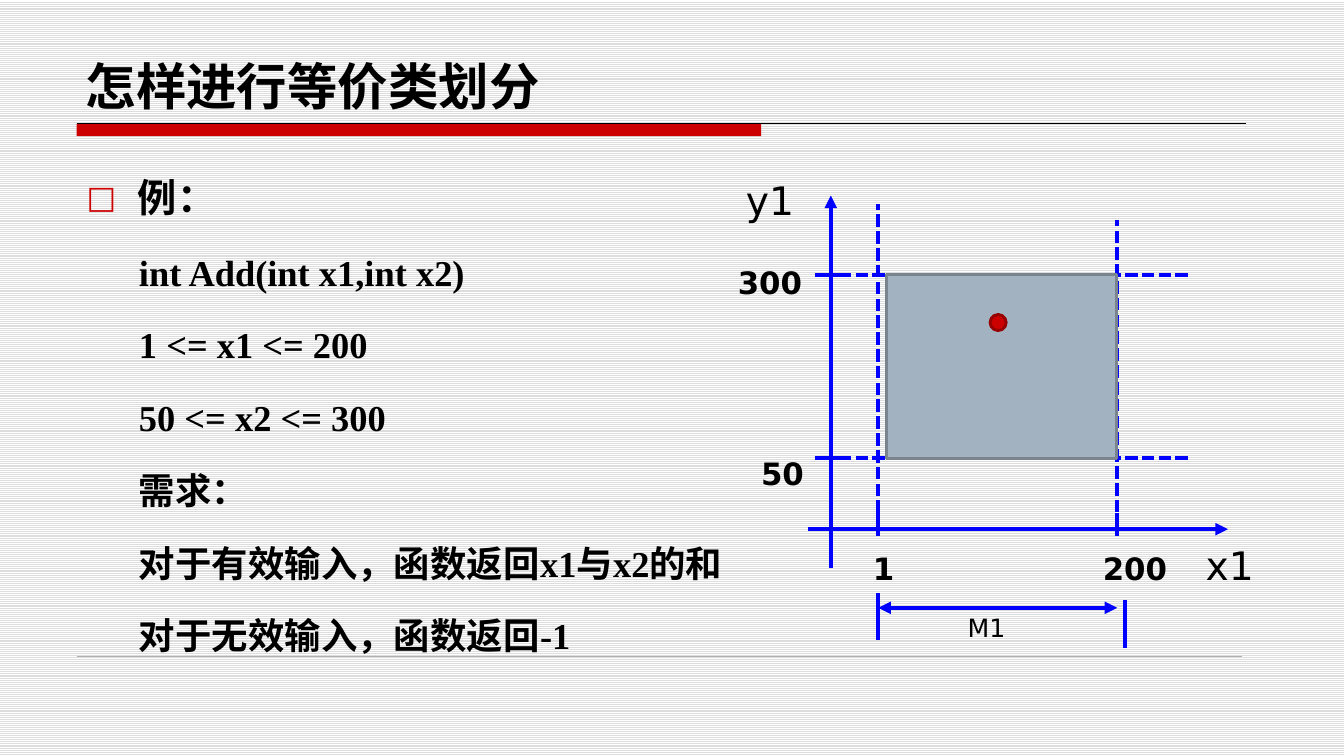
from lxml.etree import SubElement
from pptx import Presentation
from pptx.dml.color import RGBColor
from pptx.enum.dml import MSO_LINE, MSO_PATTERN
from pptx.enum.shapes import MSO_CONNECTOR, MSO_SHAPE
from pptx.enum.text import MSO_ANCHOR, PP_ALIGN
from pptx.oxml.ns import qn
from pptx.util import Inches, Pt

BLACK = RGBColor(0x00, 0x00, 0x00)
WHITE = RGBColor(0xFF, 0xFF, 0xFF)
STRIPE = RGBColor(0xDD, 0xDD, 0xDD)
RULE_GREY = RGBColor(0xB0, 0xB0, 0xB0)
RED = RGBColor(0xCC, 0x00, 0x00)
DARK_RED = RGBColor(0x97, 0x00, 0x00)
BLUE = RGBColor(0x00, 0x00, 0xFF)
AREA_FILL = RGBColor(0xA3, 0xB2, 0xC1)
AREA_EDGE = RGBColor(0x79, 0x84, 0x8F)

SERIF = "Times New Roman"
SANS = "DejaVu Sans"


class SlideBuilder:
    def __init__(self, deck):
        self.slide = deck.slides.add_slide(deck.slide_layouts[5])
        self.shapes = self.slide.shapes
        background = self.slide.background.fill
        background.patterned()
        background.pattern = MSO_PATTERN.LIGHT_HORIZONTAL
        background.fore_color.rgb = STRIPE
        background.back_color.rgb = WHITE

    def run(self, paragraph, text, size, font=SERIF, bold=True):
        run = paragraph.add_run()
        run.text = text
        run.font.size = Pt(size)
        run.font.name = font
        run.font.bold = bold
        run.font.color.rgb = BLACK

    def title(self, text, left, top, width, height):
        title = self.shapes.title
        title.left, title.top = Inches(left), Inches(top)
        title.width, title.height = Inches(width), Inches(height)
        title.text_frame.vertical_anchor = MSO_ANCHOR.BOTTOM
        paragraph = title.text_frame.paragraphs[0]
        paragraph.alignment = PP_ALIGN.LEFT
        self.run(paragraph, text, 36)

    def text_frame(self, left, top, width, height):
        box = self.shapes.add_textbox(
            Inches(left), Inches(top), Inches(width), Inches(height))
        box.text_frame.word_wrap = True
        return box.text_frame

    def label(self, text, left, top, width, height, size, bold=False):
        frame = self.text_frame(left, top, width, height)
        self.run(frame.paragraphs[0], text, size, SANS, bold)

    def example(self, heading, lines, left, top, width, height):
        """Add a bulleted heading with indented lines below it."""
        frame = self.text_frame(left, top, width, height)
        first = frame.paragraphs[0]
        first.line_spacing = 1.5
        properties = first._p.get_or_add_pPr()
        properties.set("marL", str(Inches(0.51)))
        properties.set("indent", str(Inches(-0.51)))
        color = SubElement(properties, qn("a:buClr"))
        SubElement(color, qn("a:srgbClr")).set("val", str(RED))
        SubElement(properties, qn("a:buSzPct")).set("val", "80000")
        SubElement(properties, qn("a:buFont")).set("typeface", SANS)
        SubElement(properties, qn("a:buChar")).set("char", "□")
        self.run(first, heading, 28)
        for line in lines:
            paragraph = frame.add_paragraph()
            paragraph.line_spacing = 1.5
            paragraph.space_before = Pt(5.2)
            paragraph._p.get_or_add_pPr().set("marL", str(Inches(0.52)))
            self.run(paragraph, line, 26)

    def line(self, x1, y1, x2, y2, color=BLUE, width=3, dashed=False, arrows=()):
        """Draw a line; arrows may hold "headEnd" and "tailEnd", in that order."""
        connector = self.shapes.add_connector(
            MSO_CONNECTOR.STRAIGHT, Inches(x1), Inches(y1), Inches(x2), Inches(y2))
        connector.line.color.rgb = color
        connector.line.width = Pt(width)
        if dashed:
            connector.line.dash_style = MSO_LINE.SQUARE_DOT
        for end in arrows:
            SubElement(connector.line._get_or_add_ln(), qn(f"a:{end}")).set("type", "triangle")
        SubElement(connector._element.spPr, qn("a:effectLst"))

    def shape(self, kind, left, top, width, height, fill, edge=None):
        shape = self.shapes.add_shape(
            kind, Inches(left), Inches(top), Inches(width), Inches(height))
        shape.shadow.inherit = False
        shape.fill.solid()
        shape.fill.fore_color.rgb = fill
        if edge is None:
            shape.line.fill.background()
        else:
            shape.line.color.rgb = edge
            shape.line.width = Pt(2)


def main():
    deck = Presentation()
    deck.slide_width, deck.slide_height = Inches(13.33), Inches(7.5)
    page = SlideBuilder(deck)

    page.shape(MSO_SHAPE.RECTANGLE, 0.76, 1.23, 6.79, 0.12, RED)
    page.line(0.76, 1.23, 12.36, 1.23, BLACK, 0.75)
    page.line(0.76, 6.51, 12.32, 6.51, RULE_GREY, 0.25)
    page.title("怎样进行等价类划分", 0.75, 0.29, 11.67, 0.91)
    page.example("例：", [
        "int Add(int x1,int x2)",
        "1 <= x1 <= 200",
        "50 <= x2 <= 300",
        "需求：",
        "对于有效输入，函数返回x1与x2的和",
        "对于无效输入，函数返回-1",
    ], 0.76, 1.44, 8.82, 4.67)

    x_min, x_max = 8.71, 11.08
    y_max, y_min = 2.73, 4.54
    x_axis, y_axis = 5.25, 8.24

    page.line(8.01, x_axis, 12.18, x_axis, arrows=["tailEnd"])
    page.line(y_axis, 5.64, y_axis, 1.94, arrows=["tailEnd"])
    for x, dash_start, dash_end in [(x_min, 5.09, 2.02), (x_max, x_axis, 2.18)]:
        page.line(x, 5.09, x, 5.32)
        page.line(x, dash_start, x, dash_end, dashed=True)
    for y in (y_min, y_max):
        page.line(8.08, y, 8.32, y)
        page.line(8.32, y, 11.79, y, dashed=True)

    for text, left, top, width in [
        ("1", 8.56, 5.4, 0.63),
        ("200", 10.84, 5.4, 0.94),
        ("50", 7.45, 4.46, 0.87),
        ("300", 7.22, 2.57, 0.94),
    ]:
        page.label(text, left, top, width, 0.47, 22, bold=True)
    page.label("x1", 11.86, 5.32, 0.94, 0.57, 28)
    page.label("y1", 7.3, 1.7, 0.94, 0.57, 28)

    page.line(x_min, 5.88, x_min, 6.35)
    page.line(11.16, 5.95, 11.16, 6.43)
    page.line(x_min, 6.03, x_max, 6.03, arrows=["headEnd", "tailEnd"])
    page.label("M1", 9.5, 6.03, 0.63, 0.4, 18)

    overlap = 0.01
    page.shape(MSO_SHAPE.RECTANGLE, 8.79, y_max - overlap, 2.28,
               y_min - y_max + 2 * overlap, AREA_FILL, AREA_EDGE)
    page.shape(MSO_SHAPE.OVAL, 9.82, 3.12, 0.16, 0.16, RED, DARK_RED)

    deck.save("out.pptx")


if __name__ == "__main__":
    main()
